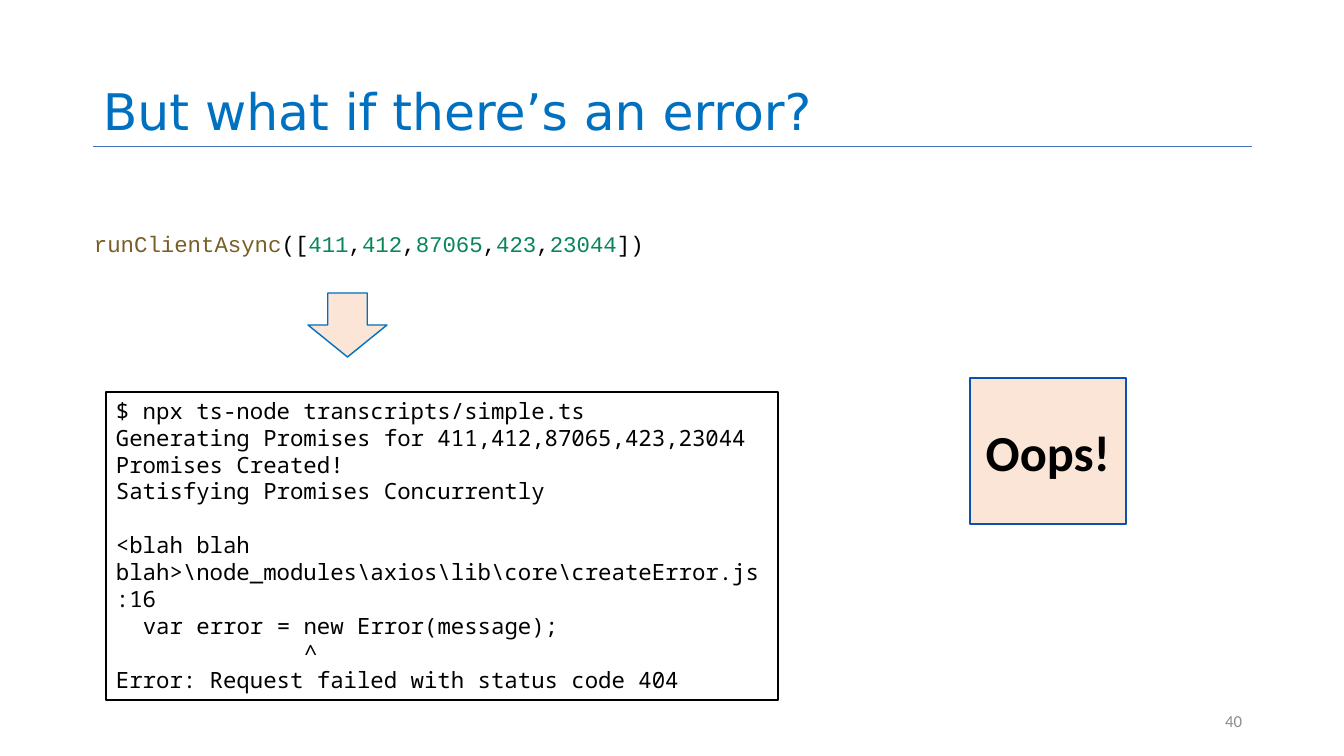
from lxml.etree import SubElement
from pptx import Presentation
from pptx.dml.color import RGBColor
from pptx.enum.shapes import MSO_CONNECTOR, MSO_SHAPE
from pptx.enum.text import MSO_ANCHOR, PP_ALIGN
from pptx.oxml.ns import qn
from pptx.util import Pt

EMU_PER_PX = 914400 / 100.8
BLACK = RGBColor(0x00, 0x00, 0x00)
WHITE = RGBColor(0xFF, 0xFF, 0xFF)
GRAY = RGBColor(0x8C, 0x8C, 0x8C)
BLUE = RGBColor(0x00, 0x70, 0xC0)
DARK_BLUE = RGBColor(0x0A, 0x52, 0xB1)
RULE_BLUE = RGBColor(0x44, 0x72, 0xC4)
PEACH = RGBColor(0xFB, 0xE5, 0xD6)
FUNCTION_BROWN = RGBColor(0x79, 0x5E, 0x26)
NUMBER_GREEN = RGBColor(0x09, 0x86, 0x58)

HEADING_FONT = "DejaVu Sans"
BODY_FONT = "Calibri"
CODE_FONT = "Courier New"
TERMINAL_FONT = "Noto Sans Mono"
TERMINAL_LINE = Pt(19.2)
TERMINAL_CHAR = Pt(9.6)


def px(length):
    return round(length * EMU_PER_PX)


class SlideBuilder:
    def __init__(self, slide):
        self.shapes = slide.shapes

    def rule(self, x1, y1, x2, y2, color, width):
        line = self.shapes.add_connector(
            MSO_CONNECTOR.STRAIGHT, px(x1), px(y1), px(x2), px(y2))
        line.line.color.rgb = color
        line.line.width = Pt(width)
        SubElement(line._element.spPr, qn("a:effectLst"))

    def text_box(self, x, y, width, height, anchor=MSO_ANCHOR.TOP):
        box = self.shapes.add_textbox(px(x), px(y), px(width), px(height))
        return self.prepare(box.text_frame, anchor)

    def shape(self, preset, x, y, width, height, fill, outline,
              anchor=MSO_ANCHOR.TOP):
        shape = self.shapes.add_shape(
            preset, px(x), px(y), px(width), px(height))
        shape.shadow.inherit = False
        shape.fill.solid()
        shape.fill.fore_color.rgb = fill
        shape.line.color.rgb = outline
        shape.line.width = Pt(1)
        return self.prepare(shape.text_frame, anchor)

    def prepare(self, frame, anchor):
        frame.word_wrap = True
        frame.vertical_anchor = anchor
        return frame

    def add_runs(self, paragraph, runs, size, font, align=PP_ALIGN.LEFT,
                 bold=False):
        """Fill a paragraph from (text, color) pairs."""
        paragraph.alignment = align
        for text, color in runs:
            run = paragraph.add_run()
            run.text = text
            run.font.size = Pt(size)
            run.font.name = font
            run.font.bold = bold
            run.font.color.rgb = color

    def terminal(self, frame, lines):
        """Add rows of (text, indent in characters, blank lines before)."""
        for index, (text, indent, blank_lines) in enumerate(lines):
            row = frame.add_paragraph() if index else frame.paragraphs[0]
            row.line_spacing = TERMINAL_LINE
            row.space_before = TERMINAL_LINE * blank_lines
            if indent:
                row._p.get_or_add_pPr().set("marL", str(TERMINAL_CHAR * indent))
            self.add_runs(row, [(text, BLACK)], 16, TERMINAL_FONT)


def main():
    deck = Presentation()
    deck.slide_width, deck.slide_height = px(1344), px(756)
    builder = SlideBuilder(deck.slides.add_slide(deck.slide_layouts[6]))

    builder.rule(93, 146, 1252, 146, RULE_BLUE, 0.5)
    title = builder.text_box(93, 0, 1159, 146, MSO_ANCHOR.BOTTOM).paragraphs[0]
    title.line_spacing = 0.9
    builder.add_runs(title, [("But what if there’s an error?", BLUE)],
                     36, HEADING_FONT)

    page_number = builder.text_box(950, 701, 302, 40, MSO_ANCHOR.MIDDLE)
    builder.add_runs(page_number.paragraphs[0], [("40", GRAY)],
                     12, BODY_FONT, PP_ALIGN.RIGHT)

    call = [("runClientAsync", FUNCTION_BROWN)]
    separator = "(["
    for request in (411, 412, 87065, 423, 23044):
        call += [(separator, BLACK), (str(request), NUMBER_GREEN)]
        separator = ","
    call.append(("])", BLACK))
    call_box = builder.text_box(84, 225, 787, 146)
    builder.add_runs(call_box.paragraphs[0], call, 16, CODE_FONT)

    builder.shape(MSO_SHAPE.DOWN_ARROW, 308, 293, 79, 64, PEACH, BLUE)

    oops = builder.shape(MSO_SHAPE.RECTANGLE, 970, 378, 156, 146,
                         PEACH, DARK_BLUE, MSO_ANCHOR.MIDDLE)
    builder.add_runs(oops.paragraphs[0], [("Oops!", BLACK)],
                     36, BODY_FONT, PP_ALIGN.CENTER, bold=True)

    output = builder.shape(MSO_SHAPE.RECTANGLE, 106, 392, 672, 308,
                           WHITE, BLACK)
    builder.terminal(output, [
        ("$ npx ts-node transcripts/simple.ts", 0, 0),
        ("Generating Promises for 411,412,87065,423,23044", 0, 0),
        ("Promises Created!", 0, 0),
        ("Satisfying Promises Concurrently", 0, 0),
        ("<blah blah blah>\\node_modules\\axios\\lib\\core\\createError.js:16",
         0, 1),
        ("var error = new Error(message);", 2, 0),
        ("^", 14, 0),
        ("Error: Request failed with status code 404", 0, 0),
    ])

    deck.save("out.pptx")


if __name__ == "__main__":
    main()
